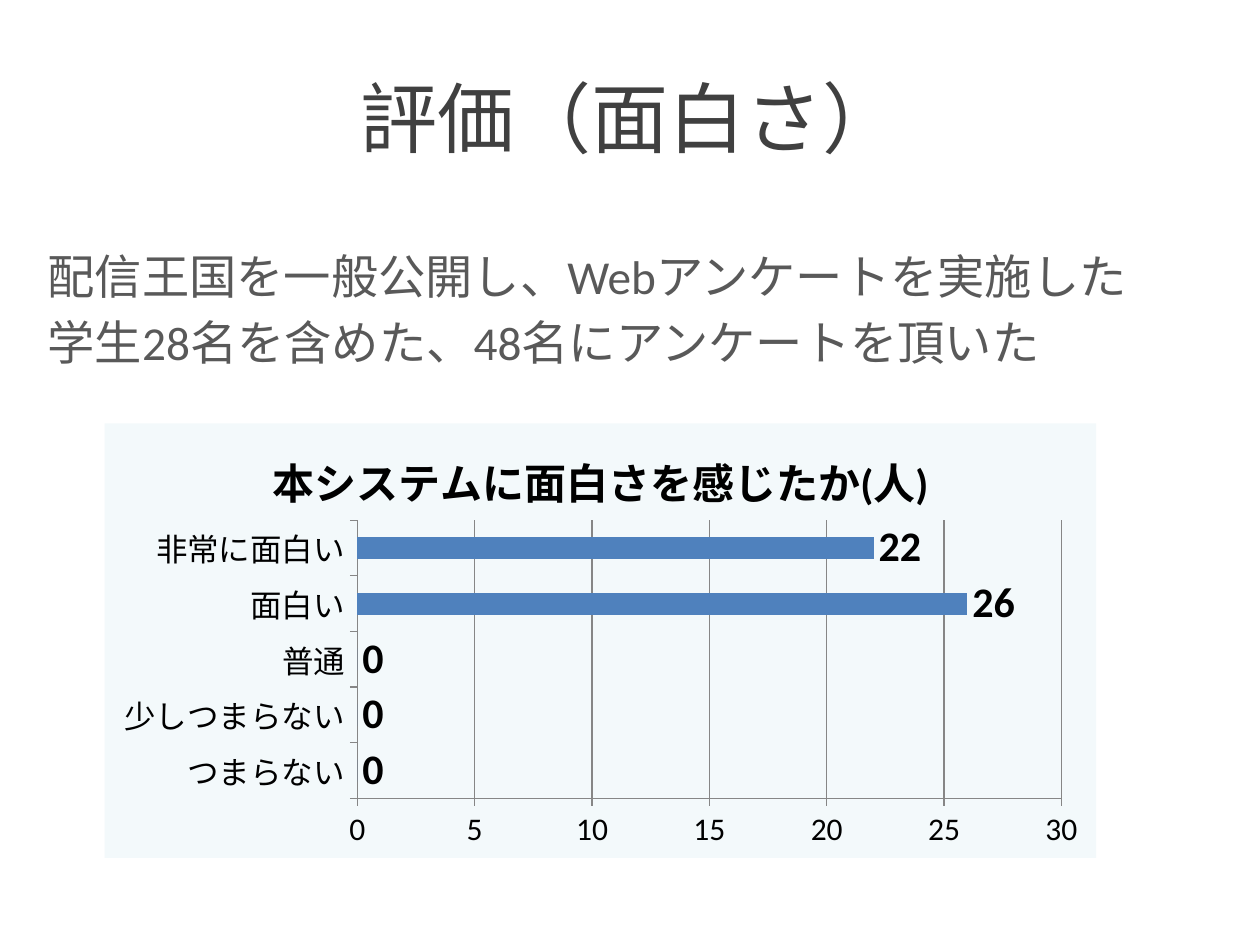
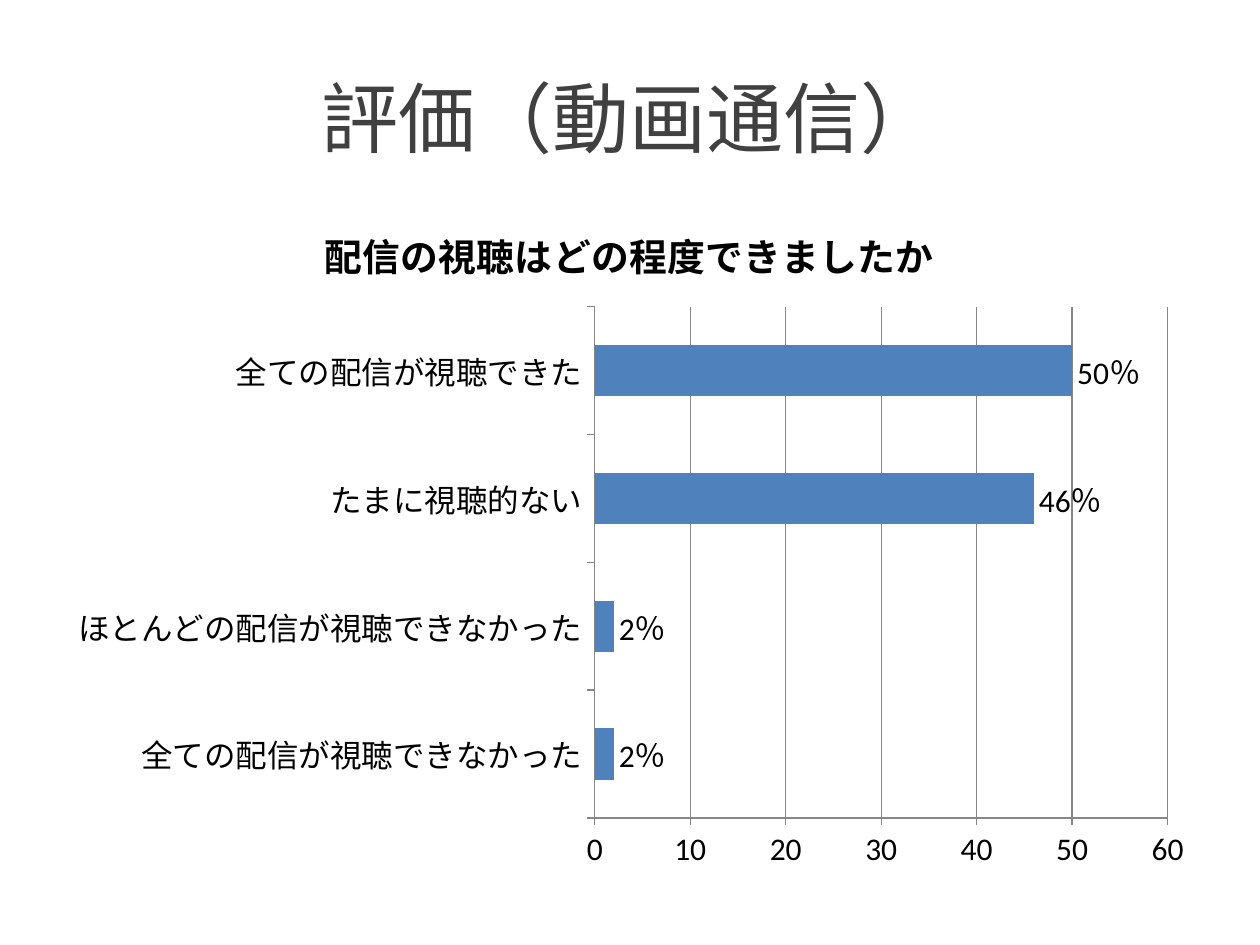
"""Build two survey result slides, each with a title and a bar chart."""
import pptx
import pptx.chart.data
import pptx.dml.color
import pptx.enum.chart
import pptx.enum.text
import pptx.oxml
import pptx.oxml.ns
import pptx.util

PAGES = [
    {
        "title": "評価（面白さ）",
        "body": ["配信王国を一般公開し、Webアンケートを実施した",
                 "学生28名を含めた、48名にアンケートを頂いた"],
        "chart": {
            "name": "本システムに面白さを感じたか(人)",
            "rows": [("つまらない", 0), ("少しつまらない", 0), ("普通", 0),
                     ("面白い", 26), ("非常に面白い", 22)],
            "box": (0.083, 0.448, 0.787, 0.46), "fill": "F3F9FB",
            "inner": (0.255, 0.223, 0.71, 0.64),
            "head": 24, "label": 24, "bold": True, "format": "0", "top": 30, "step": 5,
        },
    },
    {
        "title": "評価（動画通信）",
        "body": [],
        "chart": {
            "name": "配信の視聴はどの程度できましたか",
            "rows": [("全ての配信が視聴できなかった", 2), ("ほとんどの配信が視聴できなかった", 2),
                     ("たまに視聴的ない", 46), ("全ての配信が視聴できた", 50)],
            "box": (0.043, 0.207, 0.913, 0.727), "fill": "FFFFFF",
            "inner": (0.59, 0.162, 0.498, 0.744),
            "head": 21.6, "label": 18, "bold": False, "format": '0"％"', "top": 60, "step": 10,
        },
    },
]
PAGES[1]["chart"]["inner"] = (0.47, 0.162, 0.498, 0.744)
THEME = {"font": "Calibri", "title": "404040", "body": "595959", "ink": "000000",
         "bar": "4F81BD", "grid": "868686", "edge": "FFFFFF",
         "title_size": 44, "body_size": 27, "axis_size": 18}
WIDE, HIGH = pptx.util.Inches(10), pptx.util.Inches(7.5)
TITLE_BOX = (0.05, 0.04, 0.9, 0.167)
BODY_BOX = (0.028, 0.255, 0.969, 0.204)


def place(box):
    """Turn shares of the slide into lengths."""
    return [int(part * side) for part, side in zip(box, (WIDE, HIGH) * 2)]


def style(font, size, color, bold=False):
    """Set the shared typeface with a size and colour."""
    font.name, font.size, font.bold = THEME["font"], pptx.util.Pt(size), bold
    font.color.rgb = pptx.dml.color.RGBColor.from_string(color)


def write(slide, box, lines, size, color):
    """Add a text box with one paragraph per line."""
    frame = slide.shapes.add_textbox(*place(box)).text_frame
    frame.word_wrap = True
    for i, line in enumerate(lines):
        para = frame.paragraphs[0] if i == 0 else frame.add_paragraph()
        para.add_run().text = line
        if i:
            para.space_before = pptx.util.Pt(size * 0.2)
        style(para.font, size, color)
    return frame


def head(slide, text):
    """Add the centred, outlined slide title."""
    frame = write(slide, TITLE_BOX, [text], THEME["title_size"], THEME["title"])
    frame.vertical_anchor = pptx.enum.text.MSO_ANCHOR.MIDDLE
    para = frame.paragraphs[0]
    para.alignment = pptx.enum.text.PP_ALIGN.CENTER
    edge = pptx.oxml.parse_xml(
        f'<a:ln {pptx.oxml.ns.nsdecls("a")} w="9525"><a:solidFill>'
        f'<a:srgbClr val="{THEME["edge"]}"/></a:solidFill></a:ln>')
    para.runs[0].font._element.insert(0, edge)


def back(chart, color):
    """Fill the chart area and hide its border."""
    area = pptx.oxml.parse_xml(
        f'<c:spPr {pptx.oxml.ns.nsdecls("c", "a")}><a:solidFill><a:srgbClr val="{color}"/>'
        '</a:solidFill><a:ln><a:noFill/></a:ln></c:spPr>')
    chart._chartSpace.find(pptx.oxml.ns.qn("c:chart")).addnext(area)


def fit(chart, inner):
    """Fix the plot area by shares of the chart and show every category label."""
    names = pptx.oxml.ns.nsdecls("c")
    area = chart._chartSpace.chart.plotArea
    for old in area.findall(pptx.oxml.ns.qn("c:layout")):
        area.remove(old)
    modes = '<c:xMode val="edge"/><c:yMode val="edge"/>'
    sides = "".join(f'<c:{key} val="{val}"/>' for key, val in zip("xywh", inner))
    area.insert(0, pptx.oxml.parse_xml(
        f'<c:layout {names}><c:manualLayout><c:layoutTarget val="inner"/>'
        f'{modes}{sides}</c:manualLayout></c:layout>'))
    skip = pptx.oxml.parse_xml(f'<c:tickLblSkip {names} val="1"/>')
    axis = chart.category_axis._element
    axis.find(pptx.oxml.ns.qn("c:noMultiLvlLbl")).addprevious(skip)


def plot(slide, part):
    """Add a bar chart of the answers."""
    data = pptx.chart.data.CategoryChartData()
    names, values = zip(*part["rows"])
    data.categories = names
    data.add_series(part["name"], values)
    kind = pptx.enum.chart.XL_CHART_TYPE.BAR_CLUSTERED
    chart = slide.shapes.add_chart(kind, *place(part["box"]), data).chart
    style(chart.font, THEME["axis_size"], THEME["ink"])
    back(chart, part["fill"])
    fit(chart, part["inner"])
    chart.has_legend = False
    chart.has_title = True
    chart.chart_title.include_in_layout = False
    title = chart.chart_title.text_frame
    title.text = part["name"]
    style(title.paragraphs[0].font, part["head"], THEME["ink"], True)

    grid = pptx.dml.color.RGBColor.from_string(THEME["grid"])
    scale = chart.value_axis
    scale.minimum_scale, scale.maximum_scale = 0, part["top"]
    scale.major_unit = part["step"]
    scale.has_major_gridlines = True
    for line in (scale.major_gridlines.format.line, scale.format.line,
                 chart.category_axis.format.line):
        line.color.rgb = grid
        line.width = pptx.util.Pt(0.75)
    for axis in (scale, chart.category_axis):
        axis.major_tick_mark = pptx.enum.chart.XL_TICK_MARK.OUTSIDE

    bars = chart.plots[0]
    bars.gap_width, bars.vary_by_categories = 150, False
    fill = bars.series[0].format.fill
    fill.solid()
    fill.fore_color.rgb = pptx.dml.color.RGBColor.from_string(THEME["bar"])
    bars.has_data_labels = True
    labels = bars.data_labels
    labels.show_value = True
    labels.number_format, labels.number_format_is_linked = part["format"], False
    labels.position = pptx.enum.chart.XL_LABEL_POSITION.OUTSIDE_END
    style(labels.font, part["label"], THEME["ink"], part["bold"])


def main():
    """Build and save the deck."""
    deck = pptx.Presentation()
    deck.slide_width, deck.slide_height = WIDE, HIGH
    for page in PAGES:
        slide = deck.slides.add_slide(deck.slide_layouts[6])
        head(slide, page["title"])
        if page["body"]:
            write(slide, BODY_BOX, page["body"], THEME["body_size"], THEME["body"])
        plot(slide, page["chart"])
    deck.save("out.pptx")


if __name__ == "__main__":
    main()
